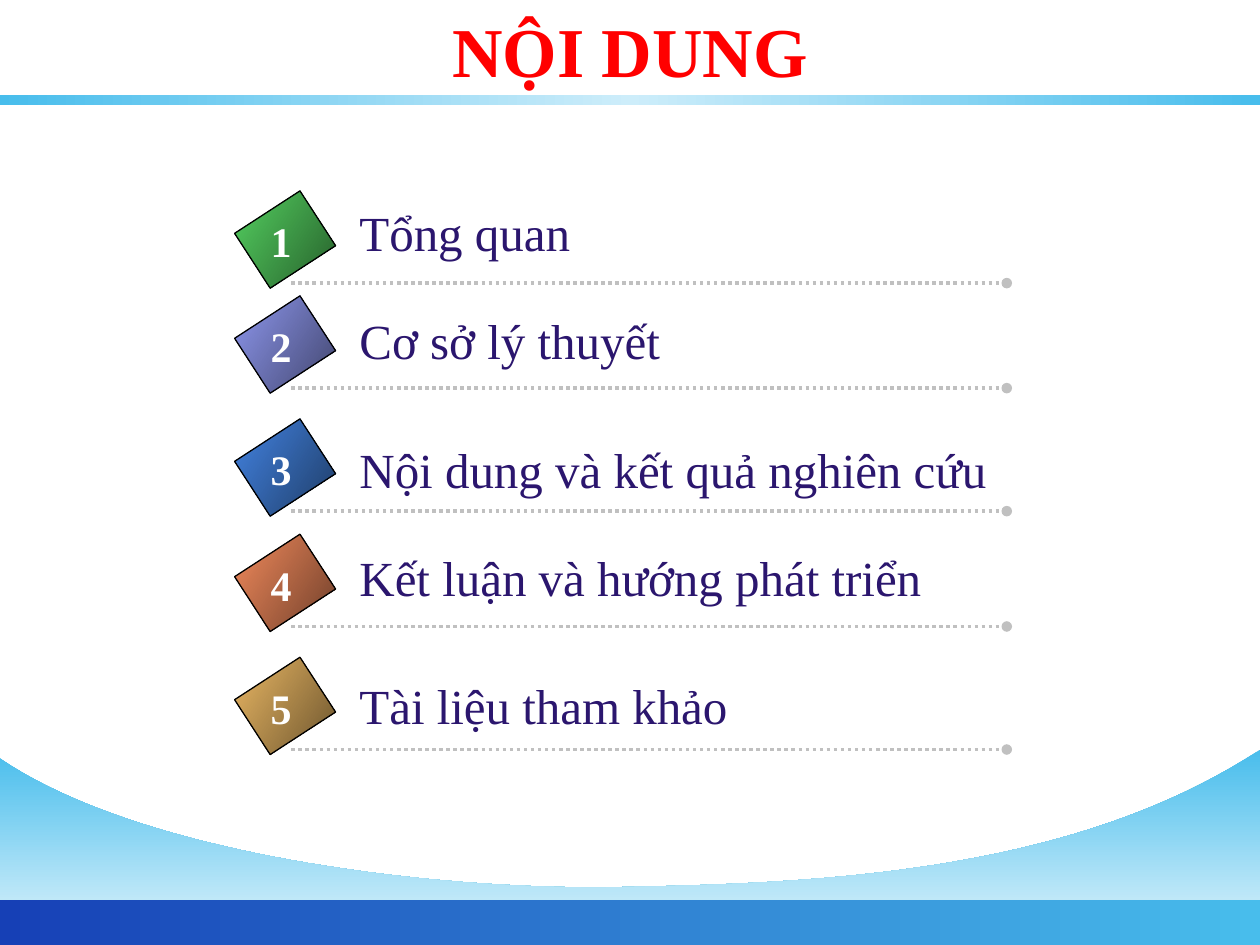
from dataclasses import dataclass

from pptx import Presentation
from pptx.dml.color import RGBColor
from pptx.enum.dml import MSO_LINE
from pptx.enum.shapes import MSO_CONNECTOR, MSO_SHAPE
from pptx.enum.text import MSO_ANCHOR, MSO_AUTO_SIZE, PP_ALIGN
from pptx.oxml import parse_xml
from pptx.oxml.ns import nsdecls, qn
from pptx.util import Pt

TITLE = "NỘI DUNG"

# text, tile gradient, y of the dotted rule, top of the text (points)
ITEMS = [
    ("Tổng quan", ("54D060", "27602C"), 161.8, 112.3),
    ("Cơ sở lý thuyết", ("8E97EE", "42466E"), 221.8, 174.2),
    ("Nội dung và kết quả nghiên cứu", ("4383E1", "1F3D68"), 292.1, 247.5),
    ("Kết luận và hướng phát triển", ("F28A5C", "70402B"), 358, 309.4),
    ("Tài liệu tham khảo", ("EAB764", "6C552E"), 428.3, 382.4),
]

# cubic curves of the wave, right to left: start, two controls, end
WAVE = [
    ((720, 428.4), (611.3, 500.4), (462.2, 504.7), (354.2, 506.9)),
    ((354.2, 506.9), (246.2, 509), (79.9, 488.2), (0, 433.4)),
]


@dataclass(frozen=True)
class Theme:
    font: str = "Times New Roman"
    title: str = "FF0000"
    text: str = "2B166E"
    number: str = "FFFFFF"
    rule: str = "C0C0C0"
    outline: str = "000000"
    wave: tuple = ("48BDEC", "E3F5FC")
    footer: tuple = ("1640B6", "48BDEC")
    band: tuple = ("48BDEC", "CDEDFA", "48BDEC")
    title_size: int = 40
    text_size: int = 28
    number_size: int = 24


T = Theme()
WIDTH, HEIGHT = 720, 540
TILE_W, TILE_H, TILE_TURN = 37.4, 44.6, 57
RULE_LEFT, RULE_RIGHT = 166.5, 575.3


def fill_gradient(sp, colors, angle):
    """Fill with evenly spaced stops; angle is clockwise, independent of rotation."""
    stops = "".join(
        f'<a:gs pos="{100000 * i // (len(colors) - 1)}"><a:srgbClr val="{c}"/></a:gs>'
        for i, c in enumerate(colors))
    sp.fill.solid()
    spPr = sp._element.spPr
    spPr.replace(spPr.find(qn("a:solidFill")), parse_xml(
        f'<a:gradFill rotWithShape="0" {nsdecls("a")}><a:gsLst>{stops}</a:gsLst>'
        f'<a:lin ang="{angle * 60000}" scaled="0"/></a:gradFill>'))
    sp.shadow.inherit = False


def set_font(p, size, color, bold=False):
    p.font.name, p.font.size, p.font.bold = T.font, Pt(size), bold
    p.font.color.rgb = RGBColor.from_string(color)


def add_rect(shapes, x, y, w, h, colors, angle=0):
    sp = shapes.add_shape(MSO_SHAPE.RECTANGLE, Pt(x), Pt(y), Pt(w), Pt(h))
    fill_gradient(sp, colors, angle)
    sp.line.fill.background()
    return sp


def add_text(shapes, x, y, w, h, text, size, color, bold=False, wrap=True):
    tf = shapes.add_textbox(Pt(x), Pt(y), Pt(w), Pt(h)).text_frame
    tf.word_wrap = wrap
    tf.auto_size = MSO_AUTO_SIZE.SHAPE_TO_FIT_TEXT
    p = tf.paragraphs[0]
    p.text = text
    set_font(p, size, color, bold)


def add_rule(shapes, y):
    line = shapes.add_connector(
        MSO_CONNECTOR.STRAIGHT, Pt(RULE_LEFT), Pt(y), Pt(RULE_RIGHT), Pt(y))
    line.line.color.rgb = RGBColor.from_string(T.rule)
    line.line.width = Pt(2)
    line.line.dash_style = MSO_LINE.ROUND_DOT
    spPr = line._element.spPr
    spPr.find(qn("a:ln")).append(parse_xml(f'<a:tailEnd type="oval" {nsdecls("a")}/>'))
    spPr.append(parse_xml(f'<a:effectLst {nsdecls("a")}/>'))


def curve_points(curve, steps=40):
    for i in range(1, steps + 1):
        t = i / steps
        weights = ((1 - t) ** 3, 3 * t * (1 - t) ** 2, 3 * t * t * (1 - t), t ** 3)
        yield tuple(Pt(sum(k * pt[axis] for k, pt in zip(weights, curve)))
                    for axis in (0, 1))


def add_wave(shapes):
    points = [(Pt(WIDTH), Pt(WAVE[0][0][1]))]
    for curve in WAVE:
        points += curve_points(curve)
    points.append((0, Pt(HEIGHT)))
    builder = shapes.build_freeform(Pt(WIDTH), Pt(HEIGHT))
    builder.add_line_segments(points, close=True)
    wave = builder.convert_to_shape()
    fill_gradient(wave, T.wave, 90)
    wave.line.fill.background()


def add_item(shapes, number, text, colors, rule_y, text_y):
    row = shapes.add_group_shape().shapes
    add_rule(row, rule_y)
    tile = add_rect(row, 144.2, rule_y - 47.2, TILE_W, TILE_H, colors, 33)
    tile.rotation = TILE_TURN
    tile.line.color.rgb = RGBColor.from_string(T.outline)
    tile.line.width = Pt(0.75)
    add_text(row, 198.3, text_y, 375, 41, text, T.text_size, T.text)
    add_text(row, 147.5, rule_y - 42, 26, 36, str(number), T.number_size,
             T.number, bold=True, wrap=False)


def add_title(s):
    title = s.shapes.title
    title.left, title.top, title.width, title.height = Pt(36), Pt(6), Pt(648), Pt(44.6)
    tf = title.text_frame
    tf.auto_size = MSO_AUTO_SIZE.NONE
    tf.vertical_anchor = MSO_ANCHOR.MIDDLE
    p = tf.paragraphs[0]
    p.text = TITLE
    p.alignment = PP_ALIGN.CENTER
    set_font(p, T.title_size, T.title, bold=True)


def main():
    prs = Presentation()
    prs.slide_width, prs.slide_height = Pt(WIDTH), Pt(HEIGHT)
    s = prs.slides.add_slide(prs.slide_layouts[5])
    add_wave(s.shapes)
    add_rect(s.shapes, 0, 514.5, WIDTH, 25.5, T.footer)
    add_rect(s.shapes, 0, 54.4, WIDTH, 5.6, T.band)
    add_title(s)
    for number, item in enumerate(ITEMS, 1):
        add_item(s.shapes, number, *item)
    prs.save("out.pptx")


if __name__ == "__main__":
    main()
